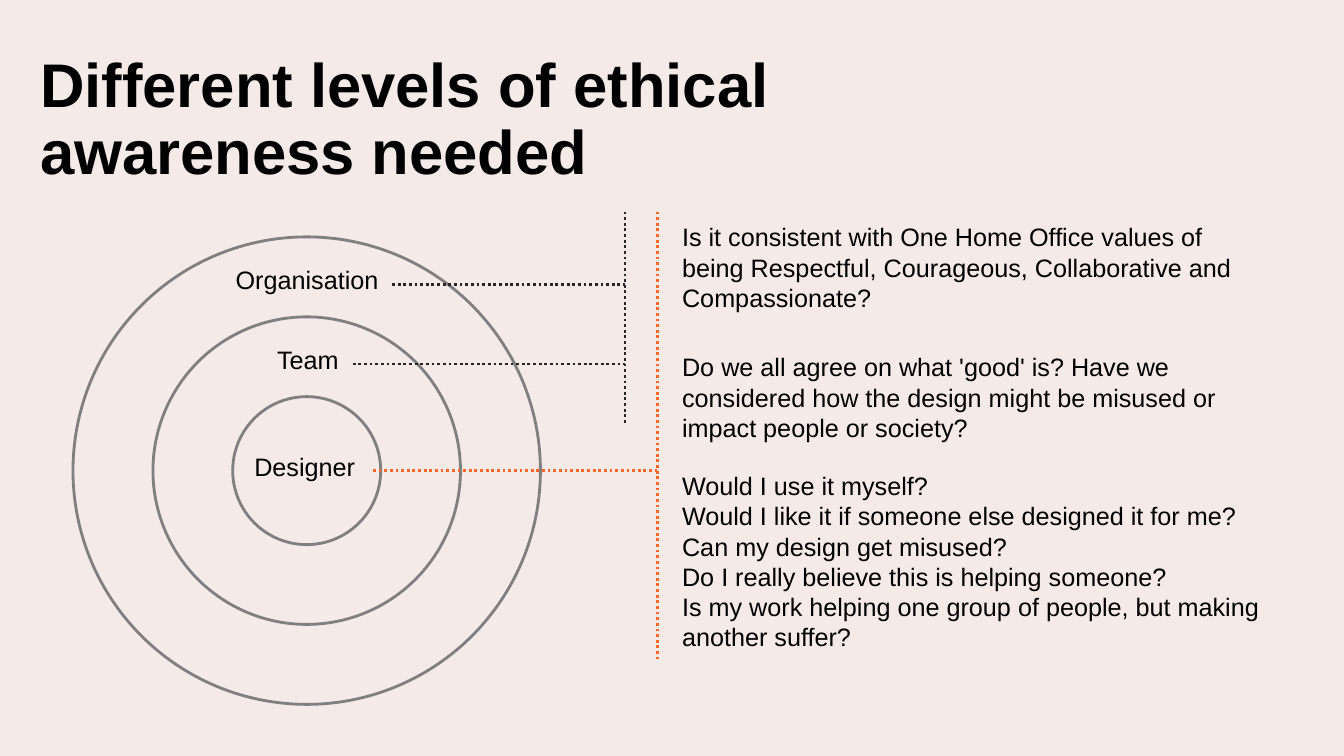
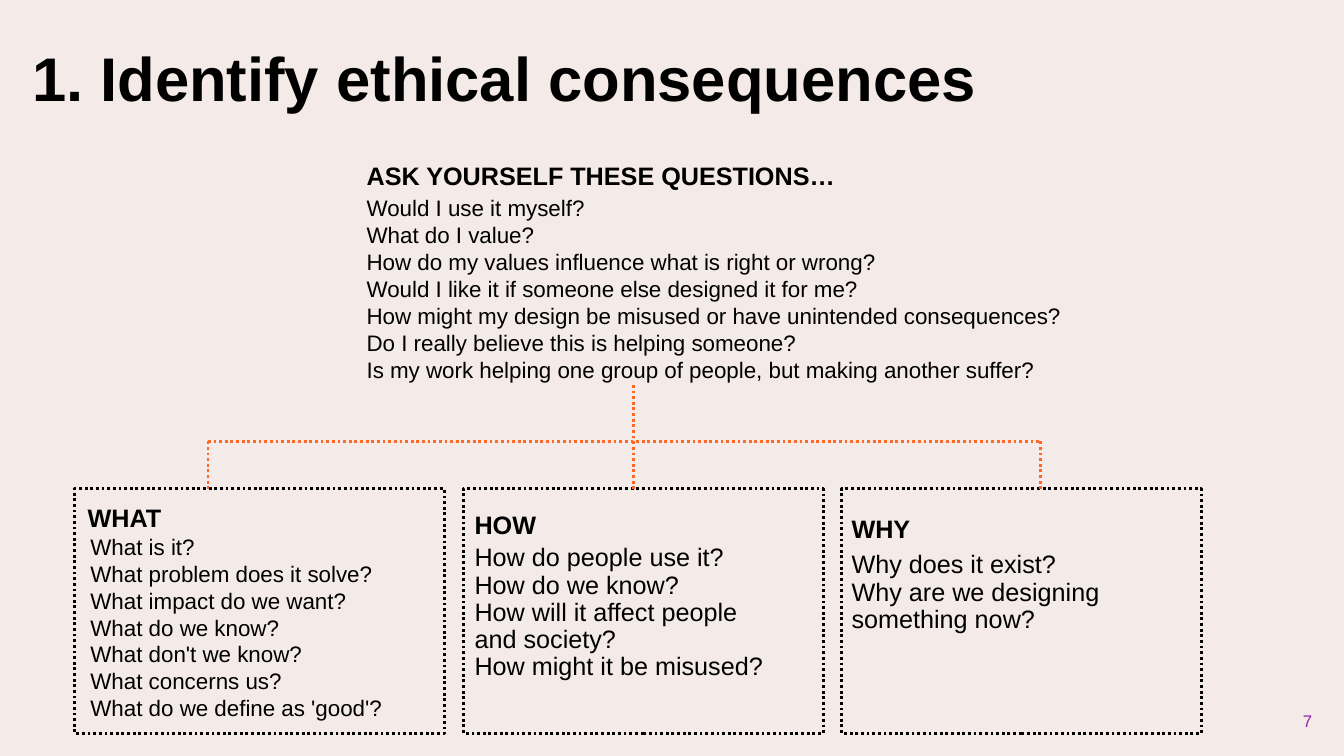
from lxml.etree import SubElement
from pptx import Presentation
from pptx.dml.color import RGBColor
from pptx.enum.dml import MSO_LINE_DASH_STYLE as Dash
from pptx.enum.shapes import MSO_CONNECTOR as Connector, MSO_SHAPE as Shape
from pptx.enum.text import MSO_ANCHOR as Anchor, PP_ALIGN as Align
from pptx.oxml.ns import qn
from pptx.util import Cm, Pt

THEME = {
    "background": RGBColor.from_string("F4EAE7"),
    "text": RGBColor.from_string("000000"),
    "ring": RGBColor.from_string("808080"),
    "dark": RGBColor.from_string("262626"),
    "accent": RGBColor.from_string("FF6726"),
    "number": RGBColor.from_string("8F23B3"),
    "line": Pt(2),
    "title": {"name": "Arial", "size": Pt(44), "bold": True},
    "heading": {"name": "Arial", "size": Pt(18), "bold": True},
    "body": {"name": "Arial", "size": Pt(18)},
    "small": {"name": "Arial", "size": Pt(16)},
    "footer": {"name": "Arial", "size": Pt(12)},
}


def add_text(slide, text, box, style, color="text", anchor=Anchor.TOP, **layout):
    frame = slide.shapes.add_textbox(*map(Cm, box)).text_frame
    frame.word_wrap = True
    frame.vertical_anchor = anchor
    frame.text = text
    for paragraph in frame.paragraphs:
        for name, value in layout.items():
            setattr(paragraph, name, value)
        for run in paragraph.runs:
            for name, value in THEME[style].items():
                setattr(run.font, name, value)
            run.font.color.rgb = THEME[color]


def add_dotted_line(slide, ends, color):
    connector = slide.shapes.add_connector(Connector.STRAIGHT, *map(Cm, ends))
    connector.line.color.rgb = THEME[color]
    for name, value in {"width": THEME["line"], "dash_style": Dash.ROUND_DOT}.items():
        setattr(connector.line, name, value)
    SubElement(connector._element.spPr, qn("a:effectLst"))


presentation = Presentation()
presentation.slide_width = Cm(33.87)
presentation.slide_height = Cm(19.05)
blank = presentation.slide_layouts[6]

slides = []
for title, box in [
    ("Different levels of ethical awareness needed", (0.76, 0.76, 21.92, 4.57)),
    ("1. Identify ethical consequences", (0.56, 0.2, 30.58, 3.71)),
]:
    slide = presentation.slides.add_slide(blank)
    slide.background.fill.solid()
    slide.background.fill.fore_color.rgb = THEME["background"]
    add_text(slide, title, box, "title", anchor=Anchor.MIDDLE, line_spacing=0.9)
    slides.append(slide)
levels, consequences = slides

center_x, center_y = 7.73, 11.86
outlines = [
    (levels, Shape.OVAL, (center_x - size / 2, center_y - size / 2, size, size), "ring", Dash.SOLID)
    for size in (11.78, 7.75, 3.73)
]
box_top, box_height = 12.32, 6.16
outlines += [
    (consequences, Shape.RECTANGLE, (left, box_top, width, box_height), "text", Dash.ROUND_DOT)
    for left, width in ((1.88, 9.32), (11.68, 9.07), (21.21, 9.07))
]
for slide, kind, box, color, dash in outlines:
    shape = slide.shapes.add_shape(kind, *map(Cm, box))
    shape.shadow.inherit = False
    shape.fill.background()
    shape.line.color.rgb = THEME[color]
    for name, value in {"width": THEME["line"], "dash_style": dash}.items():
        setattr(shape.line, name, value)

dark_x, accent_x, bracket_top = 15.75, 16.56, 5.33
for label, left, line_y, line_start, line_end, color in [
    ("Organisation", 5.44, 7.16, 9.88, dark_x, "dark"),
    ("Team", 5.46, 9.17, 8.89, dark_x, "dark"),
    ("Designer", 5.38, 11.86, 9.4, accent_x, "accent"),
]:
    add_text(levels, label, (left, line_y - 0.53, 4.6, 0.97), "body",
             alignment=Align.CENTER, line_spacing=0.9)
    add_dotted_line(levels, (line_start, line_y, line_end, line_y), color)
add_dotted_line(levels, (dark_x, bracket_top, dark_x, 10.69), "dark")
add_dotted_line(levels, (accent_x, bracket_top, accent_x, 16.61), "accent")

for text, top, width, height in [
    ("Is it consistent with One Home Office values of being Respectful, "
     "Courageous, Collaborative and Compassionate?", 5.46, 15.2, 2.57),
    ("Do we all agree on what 'good' is? Have we considered how the design "
     "might be misused or impact people or society?", 8.74, 15.2, 2.57),
    ("Would I use it myself?\n"
     "Would I like it if someone else designed it for me?\n"
     "Can my design get misused?\n"
     "Do I really believe this is helping someone?\n"
     "Is my work helping one group of people, but making another suffer?", 11.73, 16.92, 4.88),
]:
    add_text(levels, text, (16.94, top, width, height), "body")

questions = """Would I use it myself?
What do I value?
How do my values influence what is right or wrong?
Would I like it if someone else designed it for me?
How might my design be misused or have unintended consequences?
Do I really believe this is helping someone?
Is my work helping one group of people, but making another suffer?"""
what = """What is it?
What problem does it solve?
What impact do we want?
What do we know?
What don't we know?
What concerns us?
What do we define as 'good'?"""
how = """How do people use it?
How do we know?
How will it affect people and society?
How might it be misused?"""
why = """Why does it exist?
Why are we designing something now?"""

for heading, heading_box, text, text_box, style, spacing in [
    ("ASK YOURSELF THESE QUESTIONS…", (8.99, 3.99, 12.98, 0.97),
     questions, (8.99, 4.78, 23.14, 5.05), "small", 1.0),
    ("WHAT", (1.96, 12.62, 6.35, 0.97), what, (2.03, 13.31, 8.66, 3.86), "small", 1.0),
    ("HOW", (11.71, 12.8, 6.35, 0.97), how, (11.71, 13.61, 8.13, 0.97), "body", 0.9),
    ("WHY", (21.21, 12.9, 6.35, 0.97), why, (21.21, 13.79, 8.13, 0.97), "body", 0.9),
]:
    add_text(consequences, heading, heading_box, "heading", line_spacing=0.9)
    add_text(consequences, text, text_box, style, line_spacing=spacing)

branch_left, trunk_x, branch_right, branch_y = 5.24, 15.96, 26.23, 11.12
add_dotted_line(consequences, (branch_left, branch_y, branch_right, branch_y), "accent")
for x, top in ((branch_left, branch_y), (trunk_x, 9.7), (branch_right, branch_y)):
    add_dotted_line(consequences, (x, top, x, box_top), "accent")

add_text(consequences, "7", (25.7, 17.65, 7.62, 1.02), "footer", "number",
         Anchor.MIDDLE, alignment=Align.RIGHT)

presentation.save("out.pptx")
